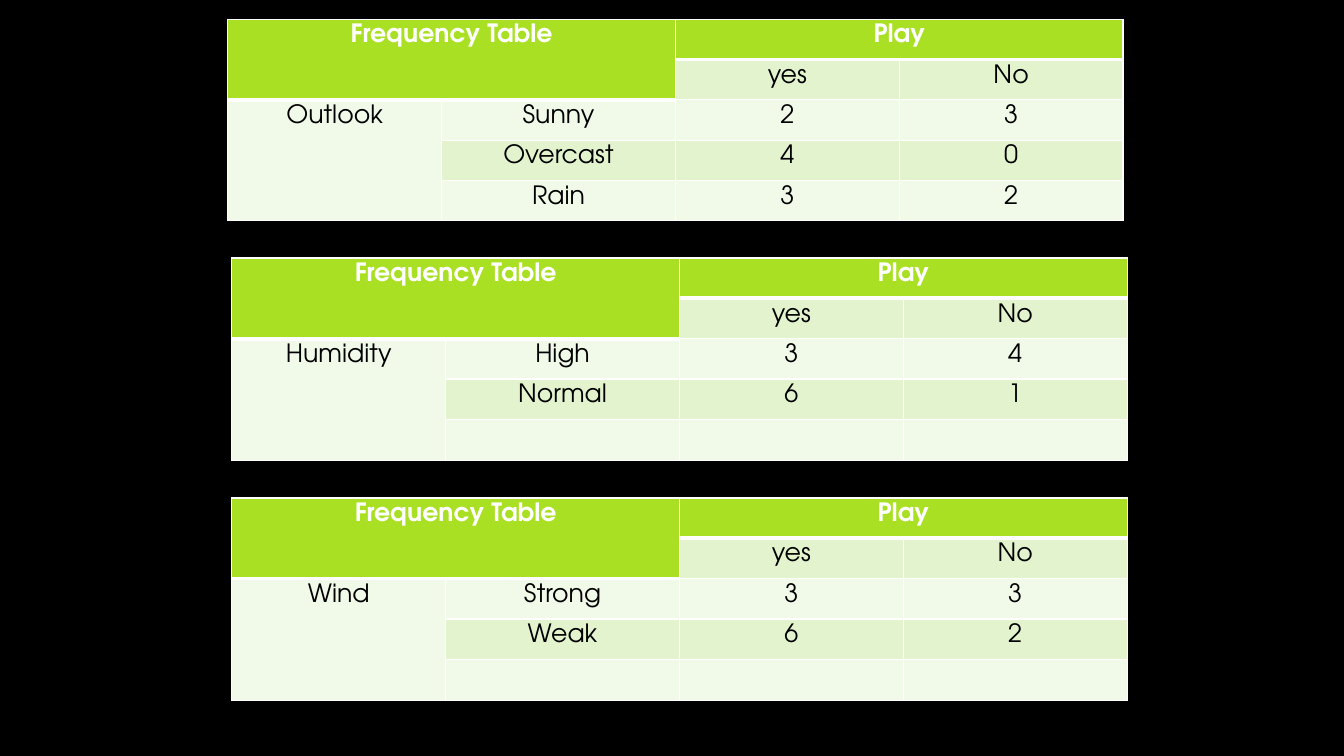
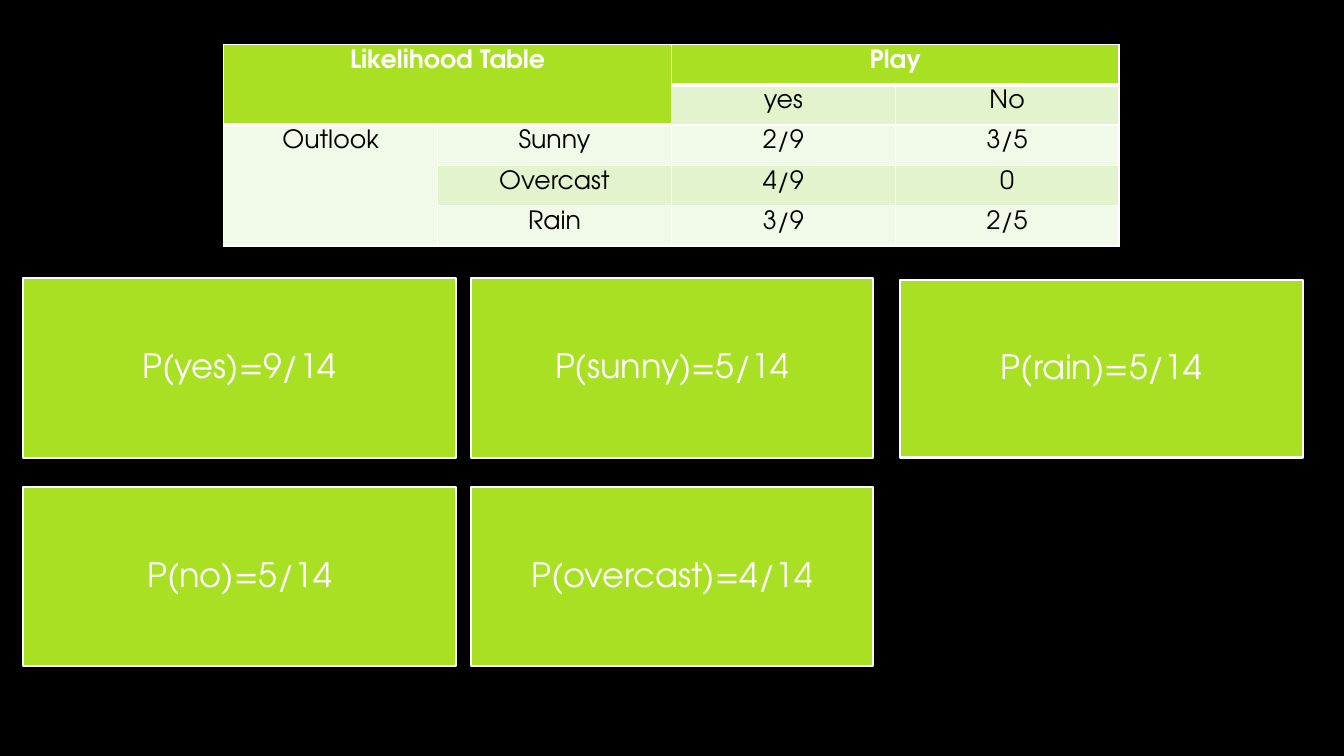
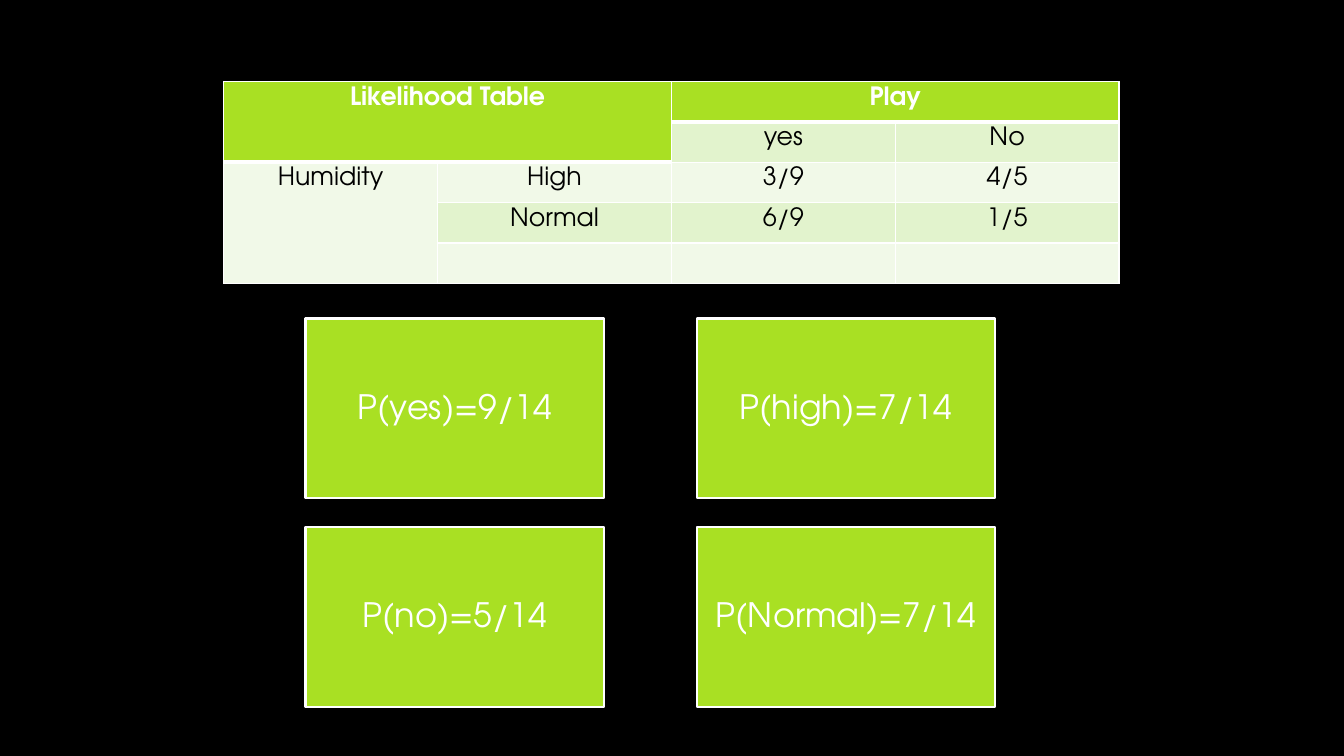
import pptx
import pptx.dml.color
import pptx.enum.shapes
import pptx.enum.text
import pptx.oxml
import pptx.oxml.ns
import pptx.util

PX = 9144  # EMU; 100 px to the inch
FONT = "TeX Gyre Adventor"
WHITE, BLACK = "FFFFFF", "000000"
LIME, MIST, PALE = "A9E023", "E2F3CD", "F1F9E8"
COLS = (212, 232, 222, 222)
ROW = 40
ROWS = 5
GAP = 29


def px(*sizes):
    return [pptx.util.Emu(size * PX) for size in sizes]


def paint(fill, color):
    fill.solid()
    fill.fore_color.rgb = pptx.dml.color.RGBColor.from_string(color)


def write(frame, text, size=18, color=BLACK, bold=False, space=None):
    line = frame.paragraphs[0]
    line.alignment = pptx.enum.text.PP_ALIGN.CENTER
    if space:
        line.line_spacing = space
    run = line.add_run()
    run.text = text
    run.font.name = FONT
    run.font.size = pptx.util.Pt(size)
    run.font.bold = bold
    paint(run.font.fill, color)


def edge(cell, top, low):
    """Draw white cell borders; top and low are widths in points."""
    props = cell._tc.get_or_add_tcPr()
    for side, width in zip("LRTB", (1, 1, top, low)):
        props.append(pptx.oxml.parse_xml(
            f'<a:ln{side} {pptx.oxml.ns.nsdecls("a")} w="{pptx.util.Pt(width)}">'
            f'<a:solidFill><a:srgbClr val="{WHITE}"/></a:solidFill></a:ln{side}>'))


def table(slide, left, top, title, factor, counts):
    """Add a table of yes and no values for each level of a factor."""
    shape = slide.shapes.add_table(
        ROWS, len(COLS), *px(left, top, sum(COLS), ROW * ROWS))
    grid = shape.table
    for col, width in zip(grid.columns, COLS):
        col.width = px(width)[0]

    texts = {(0, 0): title, (0, 2): "Play", (1, 2): "yes", (1, 3): "No",
             (2, 0): factor}
    for row, values in enumerate(counts, 2):
        for col, value in enumerate(values, 1):
            texts[row, col] = value

    for row in range(ROWS):
        for col in range(len(COLS)):
            cell = grid.cell(row, col)
            last = 1 if col < 2 else 0
            head = row <= last
            edge(cell, 3 if row == last + 1 else 1, 3 if head else 1)
            paint(cell.fill, LIME if head else MIST if row % 2 else PALE)
            if (row, col) in texts:
                write(cell.text_frame, texts[row, col],
                      color=WHITE if head else BLACK, bold=head)

    for first, end in (((0, 0), (1, 1)), ((0, 2), (0, 3)), ((2, 0), (4, 0))):
        grid.cell(*first).merge(grid.cell(*end))


def stack(slide, left, top, width, height, labels):
    """Add a column of equal cards, one for each label."""
    for num, label in enumerate(labels):
        card = slide.shapes.add_shape(
            pptx.enum.shapes.MSO_SHAPE.RECTANGLE,
            *px(left, top + num * (height + GAP), width, height))
        card.shadow.inherit = False
        paint(card.fill, LIME)
        paint(card.line.fill, WHITE)
        card.line.width = pptx.util.Pt(1.5)
        frame = card.text_frame
        frame.word_wrap = True
        frame.vertical_anchor = pptx.enum.text.MSO_ANCHOR.MIDDLE
        frame.margin_left, frame.margin_right = px(10, 10)
        frame.margin_top, frame.margin_bottom = px(10, 10)
        write(frame, label, size=24, color=WHITE, space=0.9)


def counts(deck, tables):
    slide = deck.slides.add_slide(deck.slide_layouts[6])
    for left, top, factor, rows in tables:
        table(slide, left, top, "Frequency Table", factor, rows)


def odds(deck, top, factor, rows, stacks):
    slide = deck.slides.add_slide(deck.slide_layouts[6])
    table(slide, 222, top, "Likelihood Table", factor, rows)
    for box, labels in stacks:
        stack(slide, *box, labels)


def main():
    deck = pptx.Presentation()
    deck.slide_width, deck.slide_height = px(1333, 750)
    paint(deck.slide_master.background.fill, BLACK)

    counts(deck, (
        (226, 19, "Outlook",
         (("Sunny", "2", "3"), ("Overcast", "4", "0"), ("Rain", "3", "2"))),
        (230, 256, "Humidity", (("High", "3", "4"), ("Normal", "6", "1"))),
        (230, 494, "Wind", (("Strong", "3", "3"), ("Weak", "6", "2"))),
    ))
    odds(deck, 44, "Outlook",
         (("Sunny", "2/9", "3/5"), ("Overcast", "4/9", "0"),
          ("Rain", "3/9", "2/5")),
         (((23, 276, 429, 178), ("P(yes)=9/14", "P(no)=5/14")),
          ((467, 276, 399, 178), ("P(sunny)=5/14", "P(overcast)=4/14")),
          ((893, 278, 399, 176), ("P(rain)=5/14",))))
    odds(deck, 81, "Humidity",
         (("High", "3/9", "4/5"), ("Normal", "6/9", "1/5")),
         (((303, 316, 296, 178), ("P(yes)=9/14", "P(no)=5/14")),
          ((691, 316, 296, 178), ("P(high)=7/14", "P(Normal)=7/14"))))

    deck.save("out.pptx")


if __name__ == "__main__":
    main()
